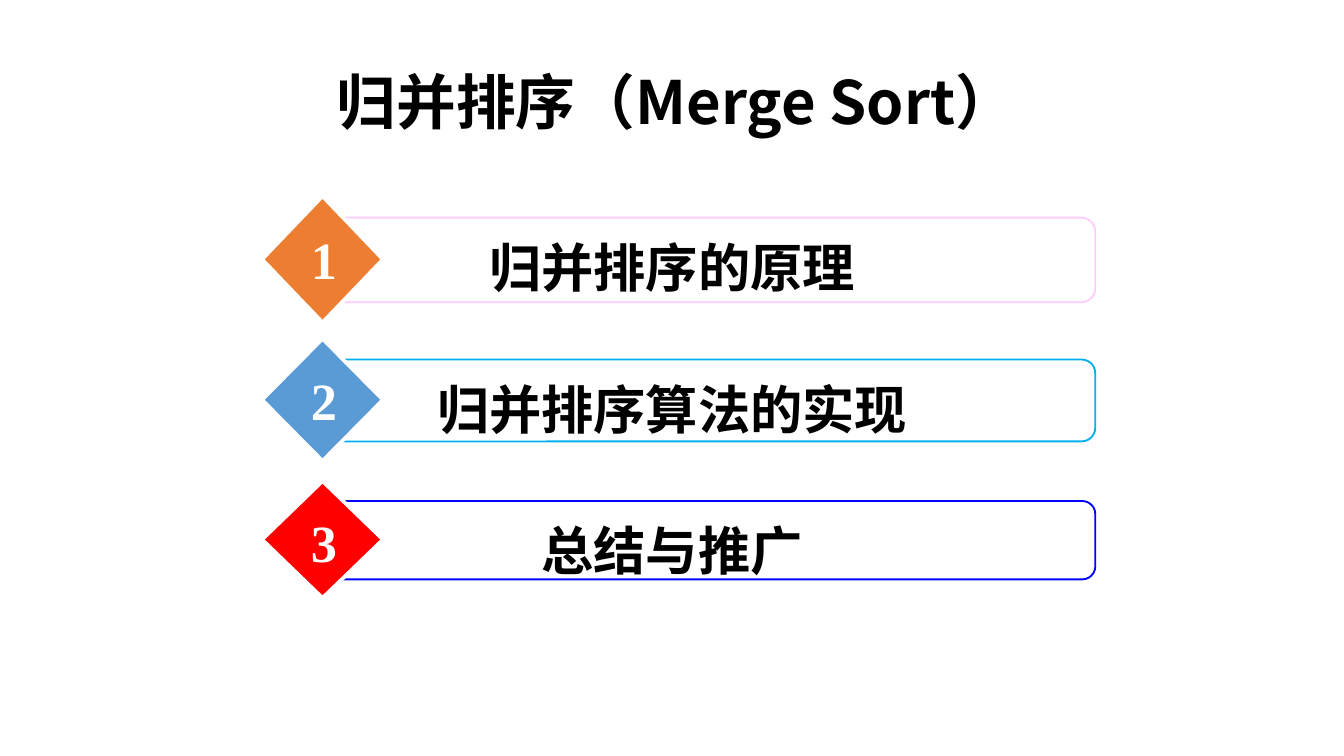
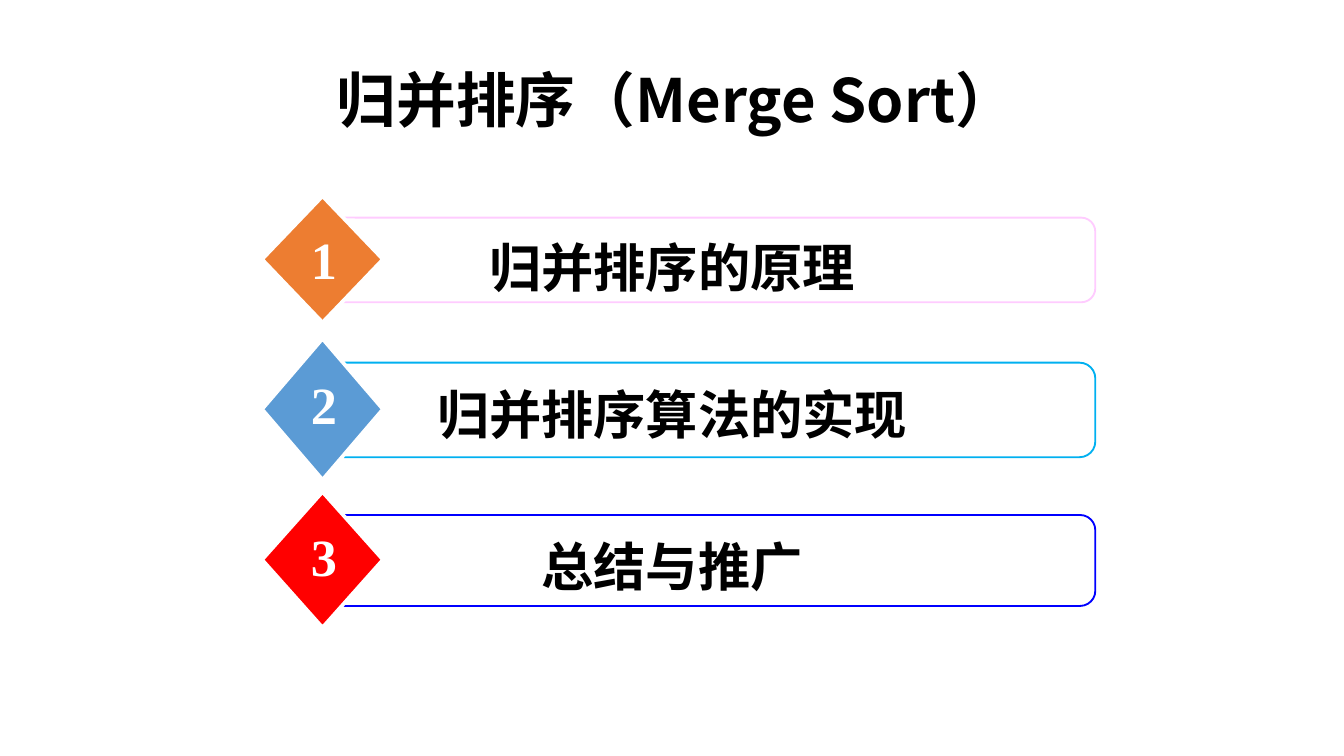
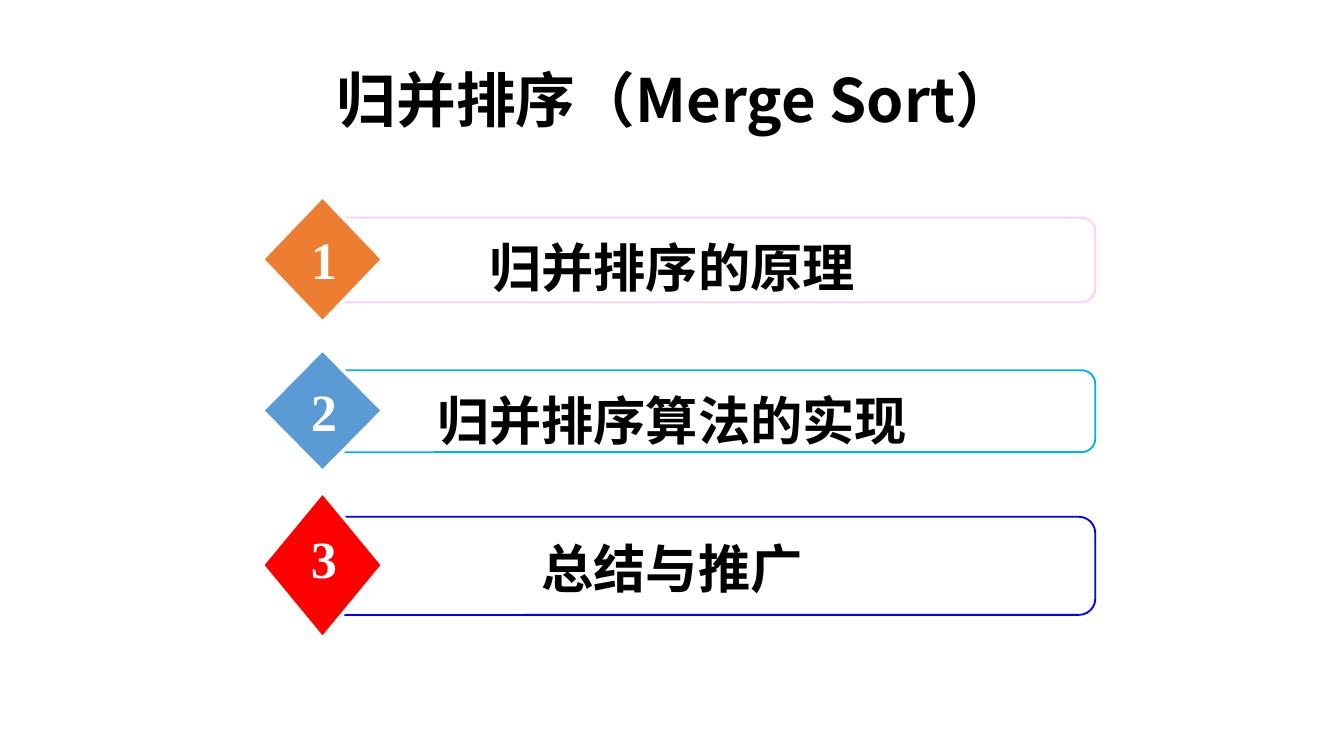
"""Builds three agenda slides on merge sort."""
from lxml.etree import SubElement
from pptx import Presentation
from pptx.dml.color import RGBColor as RGB
from pptx.enum.shapes import MSO_SHAPE as Shape
from pptx.enum.text import MSO_ANCHOR as Anchor, MSO_AUTO_SIZE as Fit, PP_ALIGN as Align
from pptx.oxml.ns import qn
from pptx.util import Inches, Pt

TITLE = "归并排序（Merge Sort）"
ITEMS = [
    ("归并排序的原理", "orange", "pink"),
    ("归并排序算法的实现", "blue", "cyan"),
    ("总结与推广", "red", "navy"),
]
SLIDES = [
    (0.48, [(1.46, 0.94), (2.52, 0.91), (3.58, 0.87)]),
    (0.47, [(1.46, 0.94), (2.52, 1.05), (3.66, 1.01)]),
    (0.47, [(1.46, 0.94), (2.6, 0.91), (3.66, 1.09)]),
]
COLORS = {
    "black": "000000", "white": "FFFFFF",
    "orange": "ED7D31", "blue": "5B9BD5", "red": "FF0000",
    "pink": "FFCCFF", "cyan": "00B0F0", "navy": "0000FF",
}
WIDE = 10
SANS, SERIF = "Noto Sans CJK SC", "Times New Roman"
HEAD = {"name": SANS, "size": Pt(32), "bold": True}
BODY = {"name": SERIF, "size": Pt(28), "bold": True}


def color(name):
    return RGB.from_string(COLORS[name])


def add_text(shapes, box, text, font, ink, wrap=True):
    area = shapes.add_textbox(*map(Inches, box))
    frame = area.text_frame
    frame.word_wrap = wrap
    par = frame.paragraphs[0]
    par.alignment = Align.CENTER
    run = par.add_run()
    run.text = text
    for key, value in font.items():
        setattr(run.font, key, value)
    run.font.color.rgb = color(ink)
    SubElement(run.font._element, qn("a:ea")).set("typeface", SANS)
    return frame


def add_shape(shapes, kind, box, fill, line, width):
    shape = shapes.add_shape(kind, *map(Inches, box))
    shape.shadow.inherit = False
    shape.fill.solid()
    shape.fill.fore_color.rgb = color(fill)
    shape.line.color.rgb = color(line)
    shape.line.width = Pt(width)


def add_title(slide, top):
    frame = add_text(slide.shapes, (0.25, top, 9.56, 0.6), TITLE, HEAD, "black")
    frame.vertical_anchor = Anchor.MIDDLE
    frame.paragraphs[0].line_spacing = 0.9


def add_item(slide, number, item, top, high):
    label, fill, edge = item
    shapes = slide.shapes.add_group_shape().shapes
    bar = (2.45, top + 0.17 * high, 5.7, 0.67 * high)
    add_shape(shapes, Shape.ROUNDED_RECTANGLE, bar, "white", edge, 1)
    add_shape(shapes, Shape.DIAMOND, (1.95, top, 0.9, high), fill, "white", 2)
    deep = 0.85 * high
    texts = [
        ((2.75, top + 0.26 * high, 4.5, deep), label, "black", True),
        ((2.21, top + 0.19 * high, 0.4, deep), str(number), "white", False),
    ]
    for box, text, ink, wrap in texts:
        frame = add_text(shapes, box, text, BODY, ink, wrap)
        frame.auto_size = Fit.SHAPE_TO_FIT_TEXT


def main():
    deck = Presentation()
    deck.slide_width, deck.slide_height = Inches(WIDE), Inches(WIDE * 9 / 16)
    for head, rows in SLIDES:
        slide = deck.slides.add_slide(deck.slide_layouts[6])
        add_title(slide, head)
        for number, (item, row) in enumerate(zip(ITEMS, rows), 1):
            add_item(slide, number, item, *row)
    deck.save("out.pptx")


if __name__ == "__main__":
    main()
